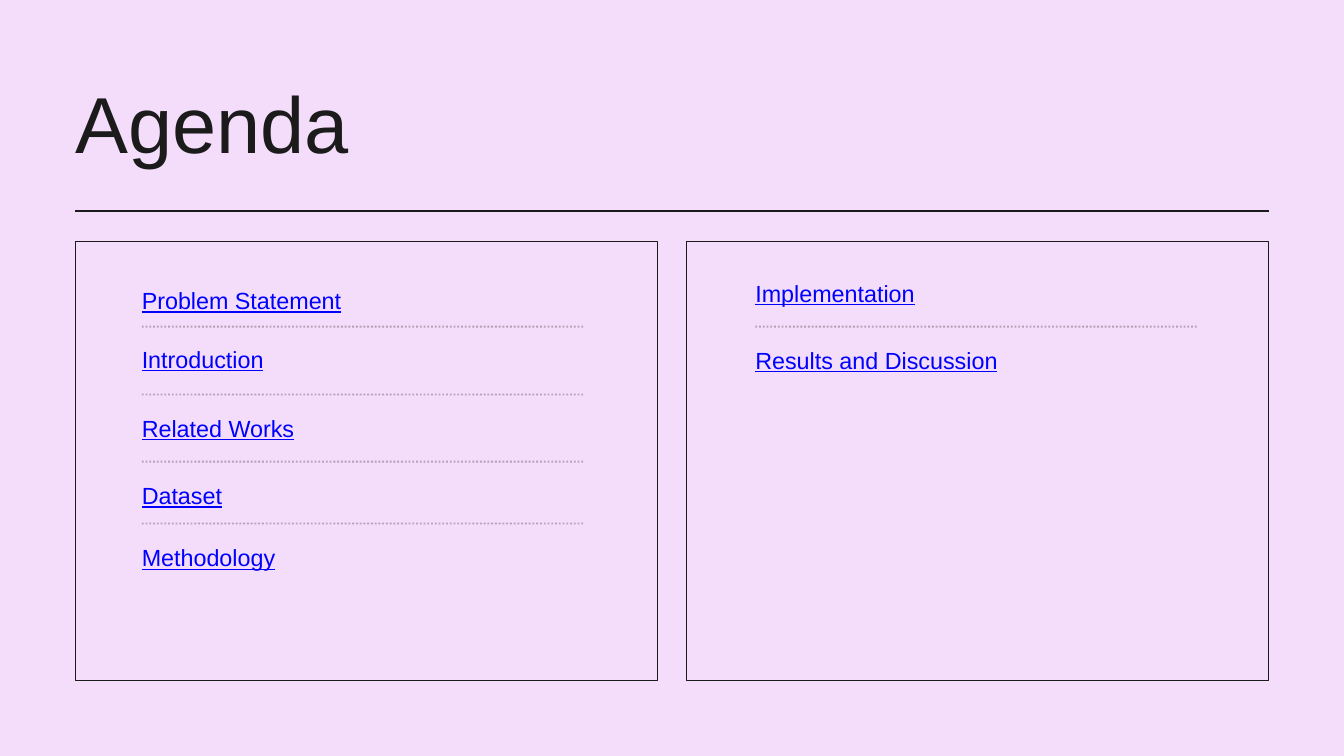
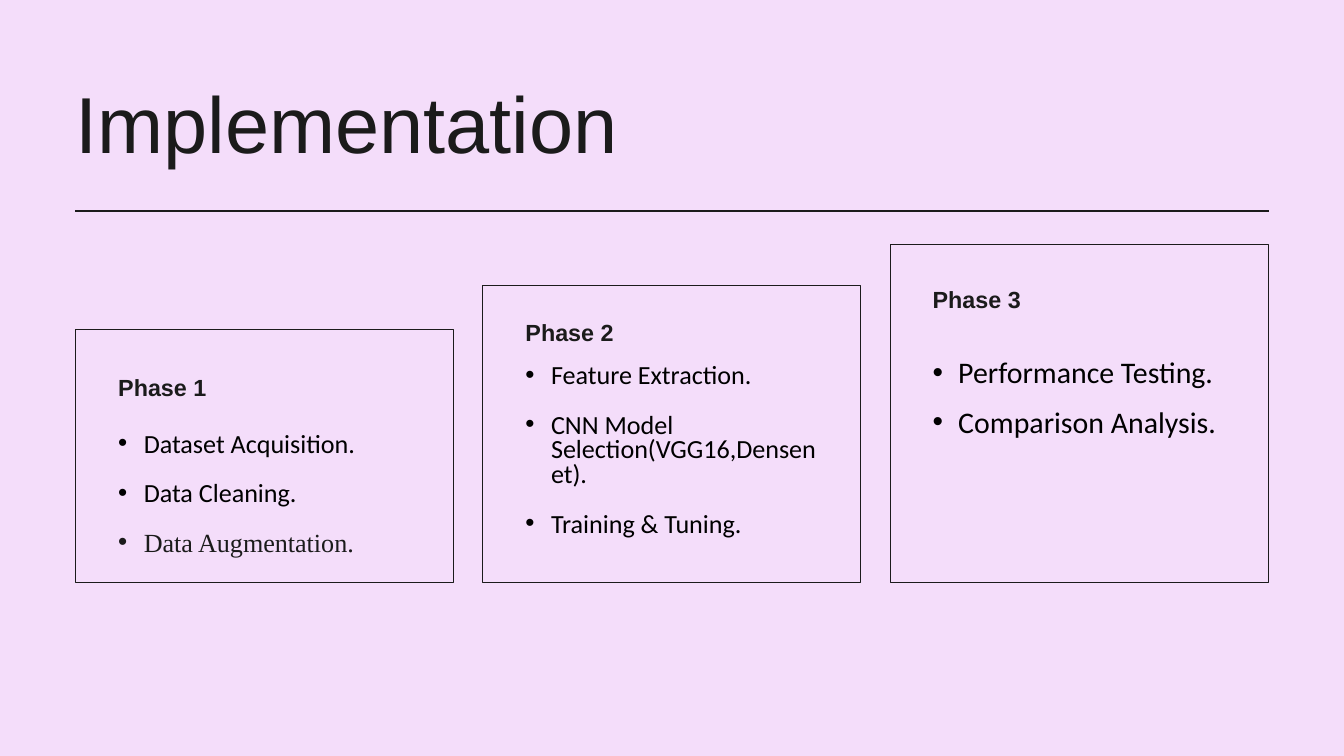
from lxml.etree import SubElement
from pptx import Presentation
from pptx.dml.color import RGBColor
from pptx.enum.dml import MSO_LINE
from pptx.enum.shapes import MSO_CONNECTOR, MSO_SHAPE
from pptx.enum.text import MSO_AUTO_SIZE as AutoSize
from pptx.oxml.ns import qn
from pptx.util import Inches, Pt

COLORS = {"background": "F4DDFA", "ink": "1B1B1B", "link": "0000FF", "body": "000000"}
LEFT, RIGHT = 1.12, 18.88
GAP = 0.42
HANGING = 0.38
FRAME_WEIGHT = 0.015

TITLE = {"name": "Arial", "size": Pt(85), "color": "ink"}
AGENDA_LINK = {"name": "Arial", "size": Pt(25), "color": "link", "underline": True}
PHASE_TITLE = {"name": "Arial", "size": Pt(25), "color": "ink", "bold": True}
BODY = {"name": "Calibri", "size": Pt(28), "color": "body"}
LARGE_BODY = {**BODY, "size": Pt(32)}
SERIF_BODY = {**BODY, "name": "Times New Roman", "color": "ink"}

# Each column: text left, link tops, divider heights
AGENDA = [
    (2.11, [("Problem Statement", 4.19), ("Introduction", 5.06), ("Related Works", 6.09),
            ("Dataset", 7.09), ("Methodology", 8.02)], [4.86, 5.87, 6.87, 7.79]),
    (11.24, [("Implementation", 4.08), ("Results and Discussion", 5.08)], [4.86]),
]

# Each phase: frame top, heading (top, height), list (top, height), bullets
PHASES = [
    (4.89, (5.49, 0.59), (6.45, 1.89),
     [("Dataset Acquisition.", BODY), ("Data Cleaning.", BODY),
      ("Data Augmentation.", SERIF_BODY)]),
    (4.24, (4.66, 0.47), (5.43, 3.03),
     [("Feature Extraction.", BODY), ("CNN Model Selection(VGG16,Densenet).", BODY),
      ("Training & Tuning.", BODY)]),
    (3.63, (4.17, 1.1), (5.43, 1.16),
     [("Performance Testing.", LARGE_BODY), ("Comparison Analysis.", LARGE_BODY)]),
]
PHASE_BOTTOM = 8.68


def color(name):
    return RGBColor.from_string(COLORS[name])


def columns(count):
    """Return the left edges and the shared width of equal columns."""
    width = (RIGHT - LEFT - GAP * (count - 1)) / count
    return [LEFT + index * (width + GAP) for index in range(count)], width


def add_bullet(paragraph):
    properties = paragraph._p.get_or_add_pPr()
    properties.set("marL", str(Inches(HANGING)))
    properties.set("indent", str(-Inches(HANGING)))
    SubElement(properties, qn("a:buFont")).set("typeface", "Arial")
    SubElement(properties, qn("a:buChar")).set("char", "•")


def add_text(slide, left, top, width, height, items, leading, bulleted=False):
    """Add a text box with one paragraph for each (text, format) item."""
    shape = slide.shapes.add_textbox(Inches(left), Inches(top), Inches(width), Inches(height))
    frame = shape.text_frame
    settings = {"word_wrap": True, "auto_size": AutoSize.SHAPE_TO_FIT_TEXT, "margin_left": 0,
                "margin_top": 0, "margin_right": 0, "margin_bottom": 0}
    for name, value in settings.items():
        setattr(frame, name, value)
    for index, (text, text_format) in enumerate(items):
        paragraph = frame.add_paragraph() if index else frame.paragraphs[0]
        paragraph.line_spacing = Pt(leading)
        if index:
            paragraph.space_before = Pt(leading)
        if bulleted:
            add_bullet(paragraph)
        run = paragraph.add_run()
        run.text = text
        for name, value in text_format.items():
            if name == "color":
                run.font.color.rgb = color(value)
            else:
                setattr(run.font, name, value)


def add_rule(slide, left, right, top, weight):
    rule = slide.shapes.add_connector(
        MSO_CONNECTOR.STRAIGHT, Inches(left), Inches(top), Inches(right), Inches(top))
    rule.line.color.rgb = color("ink")
    rule.line.width = Pt(weight)
    SubElement(rule._element.spPr, qn("a:effectLst"))
    return rule


def add_divider(slide, left, top):
    divider = add_rule(slide, left, left + 6.59, top, 2)
    divider.line.dash_style = MSO_LINE.ROUND_DOT
    ink = divider._element.spPr.find(".//" + qn("a:srgbClr"))
    SubElement(ink, qn("a:alpha")).set("val", "30000")


def add_frame(slide, left, top, width, bottom):
    """Add an outline whose outer edge lies on the given bounds."""
    inset = FRAME_WEIGHT / 2
    shape = slide.shapes.add_shape(
        MSO_SHAPE.RECTANGLE, Inches(left + inset), Inches(top + inset),
        Inches(width - FRAME_WEIGHT), Inches(bottom - top - FRAME_WEIGHT))
    shape.shadow.inherit = False
    shape.fill.background()
    shape.line.color.rgb = color("ink")
    shape.line.width = Inches(FRAME_WEIGHT)


def add_titled_slide(presentation, title, title_width):
    slide = presentation.slides.add_slide(presentation.slide_layouts[6])
    slide.background.fill.solid()
    slide.background.fill.fore_color.rgb = color("background")
    add_text(slide, LEFT, 1.1, title_width, 1.44, [(title, TITLE)], 102)
    add_rule(slide, LEFT, RIGHT, 3.14, 1.5)
    return slide


def add_agenda(presentation):
    lefts, width = columns(len(AGENDA))
    slide = add_titled_slide(presentation, "Agenda", width)
    for left, (text_left, links, dividers) in zip(lefts, AGENDA):
        add_frame(slide, left, 3.59, width, 10.13)
        for top in dividers:
            add_divider(slide, text_left, top)
        for text, top in links:
            add_text(slide, text_left, top, 6.04, 0.47, [(text, AGENDA_LINK)], 35)


def add_implementation(presentation):
    slide = add_titled_slide(presentation, "Implementation", RIGHT - LEFT)
    lefts, width = columns(len(PHASES))
    padding = 0.64
    text_width = width - 2 * padding
    for number, (left, phase) in enumerate(zip(lefts, PHASES), start=1):
        frame_top, heading, bullet_box, bullets = phase
        text_left = left + padding
        add_frame(slide, left, frame_top, width, PHASE_BOTTOM)
        add_text(slide, text_left, bullet_box[0], text_width, bullet_box[1],
                 bullets, 26.6, bulleted=True)
        add_text(slide, text_left, heading[0], text_width, heading[1],
                 [(f"Phase {number}", PHASE_TITLE)], 35)


def main():
    presentation = Presentation()
    presentation.slide_width = Inches(20)
    presentation.slide_height = Inches(11.25)
    add_agenda(presentation)
    add_implementation(presentation)
    presentation.save("out.pptx")


if __name__ == "__main__":
    main()
